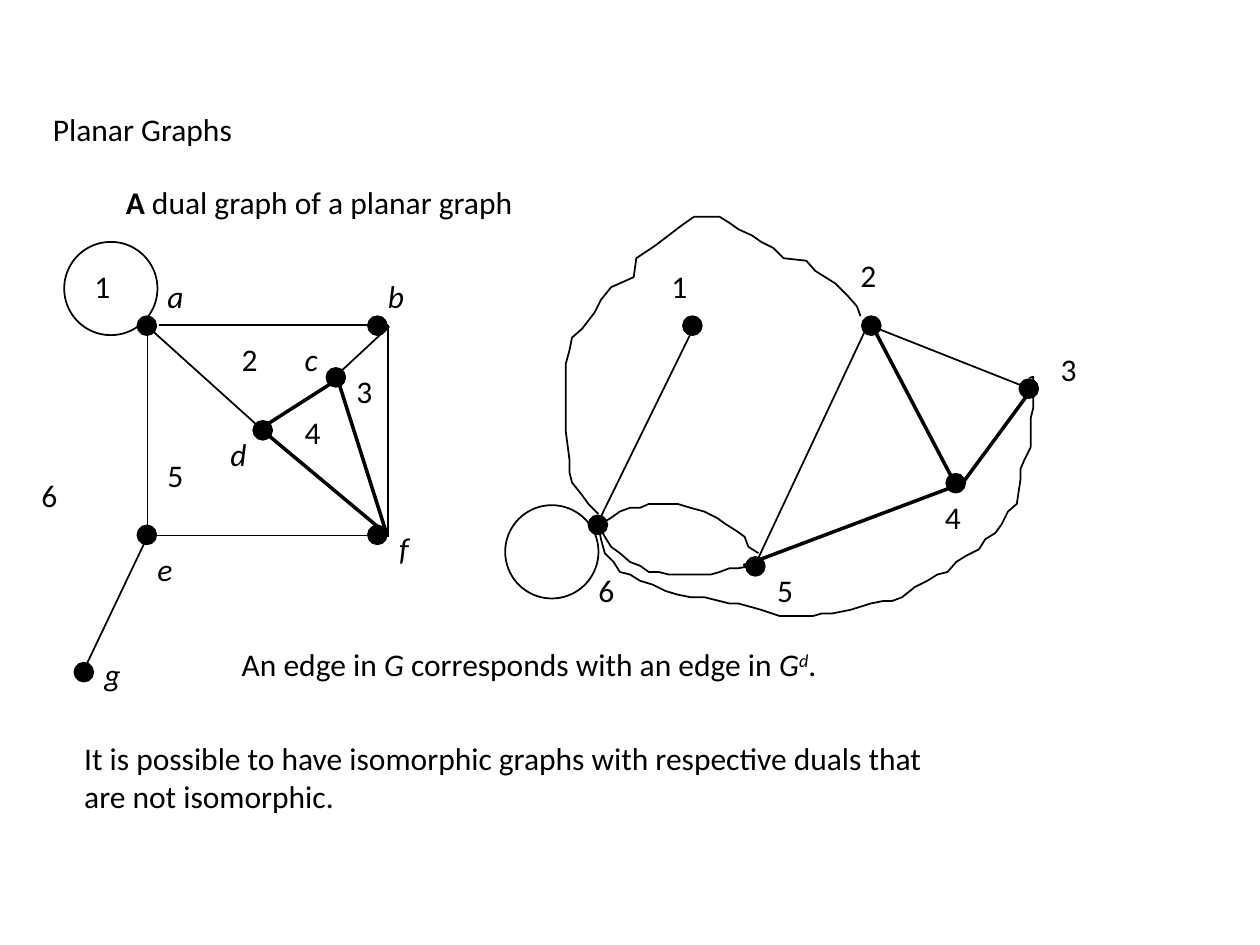
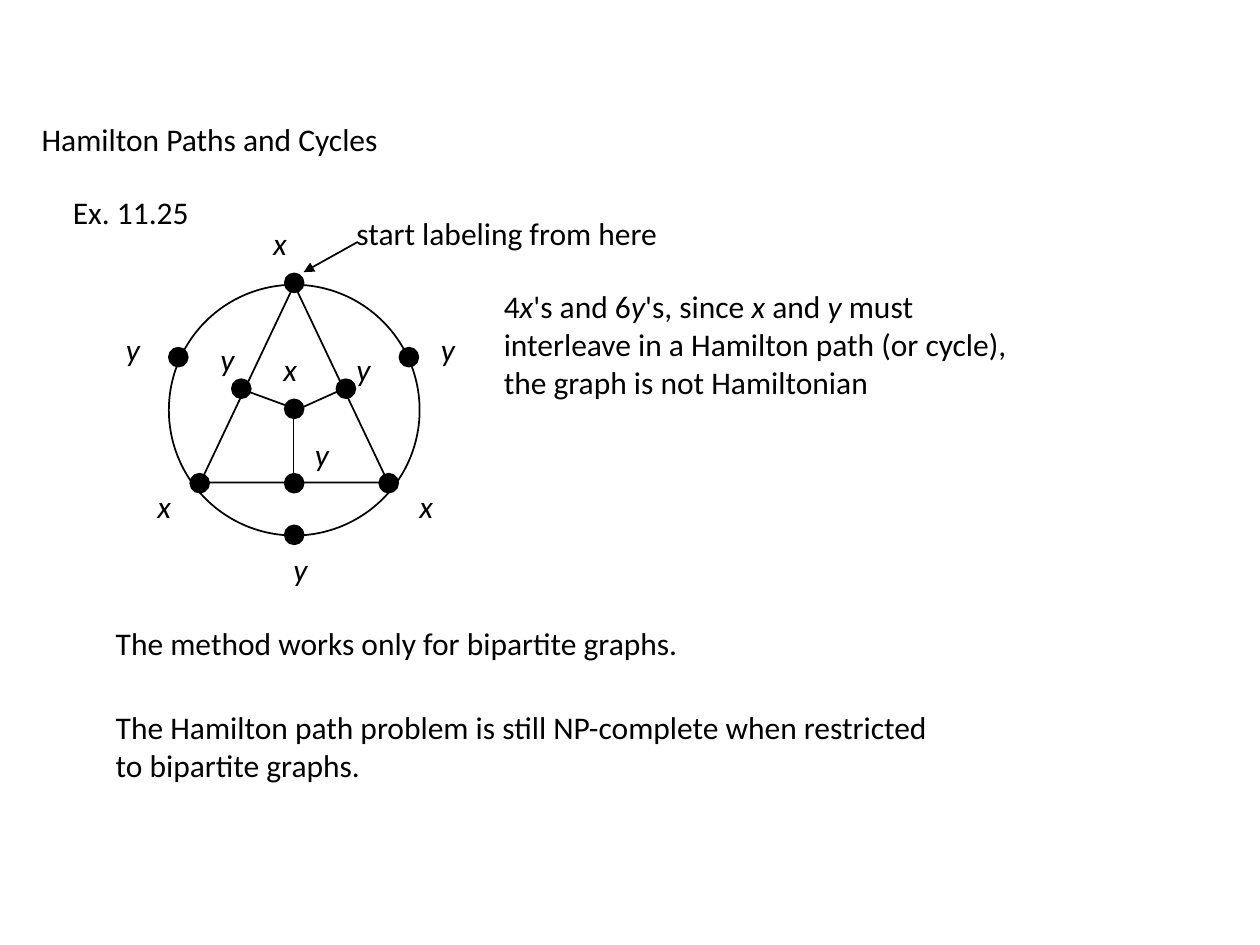
from dataclasses import dataclass

from lxml import etree
from pptx import Presentation
from pptx.dml.color import RGBColor
from pptx.enum.shapes import MSO_CONNECTOR, MSO_SHAPE
from pptx.enum.text import MSO_ANCHOR, MSO_AUTO_SIZE, PP_ALIGN
from pptx.oxml.ns import qn
from pptx.util import Pt

PX = 9144
TITLE_ONLY = 5
STRAIGHT = MSO_CONNECTOR.STRAIGHT
OVAL, TRIANGLE = MSO_SHAPE.OVAL, MSO_SHAPE.ISOSCELES_TRIANGLE
TOP, LEFT = MSO_ANCHOR.TOP, PP_ALIGN.LEFT
FIT_SHAPE = MSO_AUTO_SIZE.SHAPE_TO_FIT_TEXT


@dataclass(frozen=True)
class Theme:
    """Colours, type and line sizes shared by the slides."""
    ink: RGBColor = RGBColor(0, 0, 0)
    font: str = "Calibri"
    text: Pt = Pt(18)
    thin: Pt = Pt(1)
    heavy: Pt = Pt(2)
    dot: int = 15
    loop: int = 74
    label: tuple = (36, 50)


THEME = Theme()


def emu(*lengths):
    """Turn px into EMU."""
    return [length * PX for length in lengths]


def shift(box, left, top):
    """Move a point given relative to a box onto the page."""
    return box[0] + left, box[1] + top


def write(shape, lines):
    """Fill a shape with lines; a span is a string or a (text, style letters) pair."""
    frame = shape.text_frame
    frame.word_wrap = False
    frame.auto_size = FIT_SHAPE
    frame.vertical_anchor = TOP
    for index, line in enumerate(lines):
        para = frame.add_paragraph() if index else frame.paragraphs[0]
        para.alignment = LEFT
        for span in [line] if isinstance(line, str) else line:
            text, style = (span, "") if isinstance(span, str) else span
            run = para.add_run()
            run.text = text
            run.font.name, run.font.size = THEME.font, THEME.text
            run.font.color.rgb = THEME.ink
            run.font.bold, run.font.italic = "b" in style, "i" in style
            if "^" in style:
                run.font._element.set("baseline", "30000")


def add_text(page, box, *lines):
    """Add a text box."""
    write(page.shapes.add_textbox(*emu(*box)), lines)


def add_title(page, box, title):
    """Move the title placeholder and fill it."""
    shape = page.shapes.title
    shape.left, shape.top, shape.width, shape.height = emu(*box)
    write(shape, [title])


def add_labels(page, box, labels, style=""):
    """Add one short label at each place."""
    for text, left, top in labels:
        add_text(page, (*shift(box, left, top), *THEME.label), [(text, style)])


def ink_outline(shape):
    """Give a shape a thin ink outline and no fill."""
    shape.shadow.inherit = False
    shape.fill.background()
    shape.line.color.rgb = THEME.ink
    shape.line.width = THEME.thin


def add_outline(page, kind, box):
    """Add a hollow preset shape."""
    shape = page.shapes.add_shape(kind, *emu(*box))
    ink_outline(shape)
    return shape


def add_dots(page, box, places):
    """Add a filled vertex at each place."""
    for place in places:
        dot = add_outline(page, OVAL, (*shift(box, *place), THEME.dot, THEME.dot))
        dot.fill.solid()
        dot.fill.fore_color.rgb = THEME.ink


def add_edge(page, box, edge, width=THEME.thin, arrow=False):
    """Add a straight edge, with an arrowhead at its end if wanted."""
    ends = shift(box, *edge[:2]) + shift(box, *edge[2:])
    line = page.shapes.add_connector(STRAIGHT, *emu(*ends))
    line.line.color.rgb = THEME.ink
    line.line.width = width
    if arrow:
        etree.SubElement(line.line._get_or_add_ln(), qn("a:tailEnd"), type="triangle")
    etree.SubElement(line._element.spPr, qn("a:effectLst"))


def add_edges(page, box, edges, width=THEME.thin):
    """Add several edges of one width."""
    for edge in edges:
        add_edge(page, box, edge, width)


def add_curve(page, box, points):
    """Add an open hand-drawn edge through the points."""
    builder = page.shapes.build_freeform(*points[0], scale=PX)
    builder.add_line_segments(points[1:], close=False)
    ink_outline(builder.convert_to_shape(*emu(*box)))


def draw_planar_graph(page, box):
    """Draw the planar graph with its vertices and numbered regions."""
    add_dots(page, box, [(89, 61), (272, 61), (239, 102), (181, 144),
                         (89, 227), (272, 227), (39, 336)])
    add_edges(page, box, [
        (106, 68, 288, 68), (289, 69, 246, 109), (97, 69, 188, 151),
        (288, 236, 288, 68), (97, 69, 97, 234), (97, 235, 279, 235),
        (97, 236, 46, 343)])
    add_edges(page, box, [(248, 111, 187, 150), (190, 153, 287, 234),
                          (248, 111, 287, 234)], THEME.heavy)
    add_outline(page, OVAL, (*shift(box, 31, 2), THEME.loop, THEME.loop))
    add_labels(page, box, [
        ("a", 103, 25), ("b", 278, 25), ("c", 212, 75), ("d", 153, 150),
        ("e", 95, 242), ("f", 287, 225), ("g", 53, 325)], "i")
    add_labels(page, box, [
        ("1", 45, 17), ("2", 162, 75), ("3", 253, 100), ("4", 212, 133),
        ("5", 103, 167), ("6", 3, 183)])


def draw_dual_graph(page, box):
    """Draw the dual graph, one vertex for each region."""
    add_dots(page, box, [(142, 81), (284, 81), (409, 131), (351, 206),
                         (192, 272), (67, 239)])
    add_labels(page, box, [
        ("1", 123, 37), ("2", 273, 28), ("3", 432, 103), ("4", 340, 220),
        ("5", 207, 278), ("6", 65, 278)])
    add_edges(page, box, [(151, 89, 74, 246), (292, 89, 416, 138),
                          (292, 81, 199, 279)])
    add_edges(page, box, [(293, 90, 357, 212), (418, 140, 365, 212),
                          (360, 215, 190, 279)], THEME.heavy)
    upper_6_to_5 = [
        (75, 247), (85, 241), (92, 236), (100, 233), (108, 233), (115, 230),
        (138, 230), (148, 233), (159, 236), (169, 241), (176, 246), (184, 251),
        (191, 256), (194, 264), (202, 269)]
    lower_6_to_5 = [
        (75, 247), (80, 256), (85, 264), (92, 269), (100, 276), (108, 279),
        (115, 284), (123, 284), (131, 286), (164, 286), (171, 284), (179, 281),
        (186, 281), (197, 279), (200, 272)]
    outer_6_to_2 = [
        (75, 238), (67, 230), (62, 223), (54, 213), (52, 205), (52, 195),
        (49, 172), (49, 119), (52, 108), (54, 98), (62, 91), (72, 78), (77, 68),
        (85, 58), (103, 50), (105, 35), (120, 25), (141, 9), (151, 2), (171, 2),
        (179, 7), (186, 12), (197, 17), (204, 22), (214, 27), (222, 35),
        (240, 37), (247, 45), (263, 55), (273, 65), (280, 73), (283, 81)]
    outer_6_to_3 = [
        (75, 247), (77, 258), (80, 269), (87, 276), (92, 284), (100, 286),
        (108, 291), (118, 294), (128, 299), (138, 302), (148, 304), (159, 304),
        (179, 309), (186, 309), (197, 312), (204, 314), (219, 319), (245, 319),
        (252, 317), (260, 317), (275, 314), (291, 309), (301, 307), (308, 307),
        (316, 304), (326, 296), (336, 291), (344, 286), (352, 284), (359, 276),
        (367, 271), (377, 266), (382, 258), (390, 253), (395, 246), (400, 236),
        (407, 230), (410, 210), (410, 202), (413, 195), (418, 185), (418, 162),
        (420, 154), (420, 129), (417, 130)]
    for curve in (upper_6_to_5, lower_6_to_5, outer_6_to_2, outer_6_to_3):
        add_curve(page, box, curve)
    add_outline(page, OVAL, (*shift(box, 1, 231), THEME.loop, THEME.loop))


def draw_bipartite_graph(page, box):
    """Draw the circle and triangle graph labelled with x and y."""
    add_outline(page, OVAL, (*shift(box, 44, 66), 199, 199))
    add_outline(page, TRIANGLE, (*shift(box, 69, 66), 149, 157))
    add_dots(page, box, [
        (136, 57), (44, 116), (227, 116), (94, 141), (177, 141), (136, 157),
        (61, 216), (136, 216), (211, 216), (136, 257)])
    add_edges(page, box, [(102, 149, 143, 164), (144, 166, 184, 148),
                          (143, 166, 143, 223)])
    add_labels(page, box, [
        ("x", 117, 13), ("y", 0, 97), ("y", 250, 97), ("y", 75, 105),
        ("y", 183, 113), ("x", 125, 113), ("y", 150, 180), ("x", 25, 222),
        ("x", 233, 222), ("y", 133, 272)], "i")
    add_text(page, (*shift(box, 183, 5), 331, 50), "start labeling from here")
    add_edge(page, box, (194, 32, 151, 56), arrow=True)


def build_planar_page(page):
    """Build the slide on planar graphs and their duals."""
    add_title(page, (32, 82, 164, 40), "Planar Graphs")
    add_text(page, (90, 140, 429, 50), [("A", "b"), " dual graph of a planar graph"])
    draw_planar_graph(page, (20, 190))
    draw_dual_graph(page, (400, 170))
    add_text(page, (182, 507, 632, 50), [
        "An edge in ", ("G", "i"), " corresponds with an edge in ",
        ("G", "i"), ("d", "i^"), "."])
    add_text(page, (57, 582, 897, 90),
             "It is possible to have isomorphic graphs with respective duals that",
             "are not isomorphic.")


def build_hamilton_page(page):
    """Build the slide on Hamilton paths and cycles."""
    add_title(page, (23, 90, 290, 40), "Hamilton Paths and Cycles")
    add_text(page, (48, 148, 148, 50), "Ex. 11.25")
    draw_bipartite_graph(page, (90, 160))
    add_text(page, (390, 223, 553, 130),
             ["4", ("x", "i"), "'s and 6", ("y", "i"), "'s, since ", ("x", "i"),
              " and ", ("y", "i"), " must"],
             "interleave in a Hamilton path (or cycle),",
             "the graph is not Hamiltonian")
    add_text(page, (82, 490, 609, 50), "The method works only for bipartite graphs.")
    add_text(page, (82, 557, 876, 90),
             "The Hamilton path problem is still NP-complete when restricted",
             "to bipartite graphs.")


def main():
    """Build and save the deck."""
    deck = Presentation()
    deck.slide_width, deck.slide_height = emu(1000, 750)
    for build_page in (build_planar_page, build_hamilton_page):
        build_page(deck.slides.add_slide(deck.slide_layouts[TITLE_ONLY]))
    deck.save("out.pptx")


if __name__ == "__main__":
    main()
